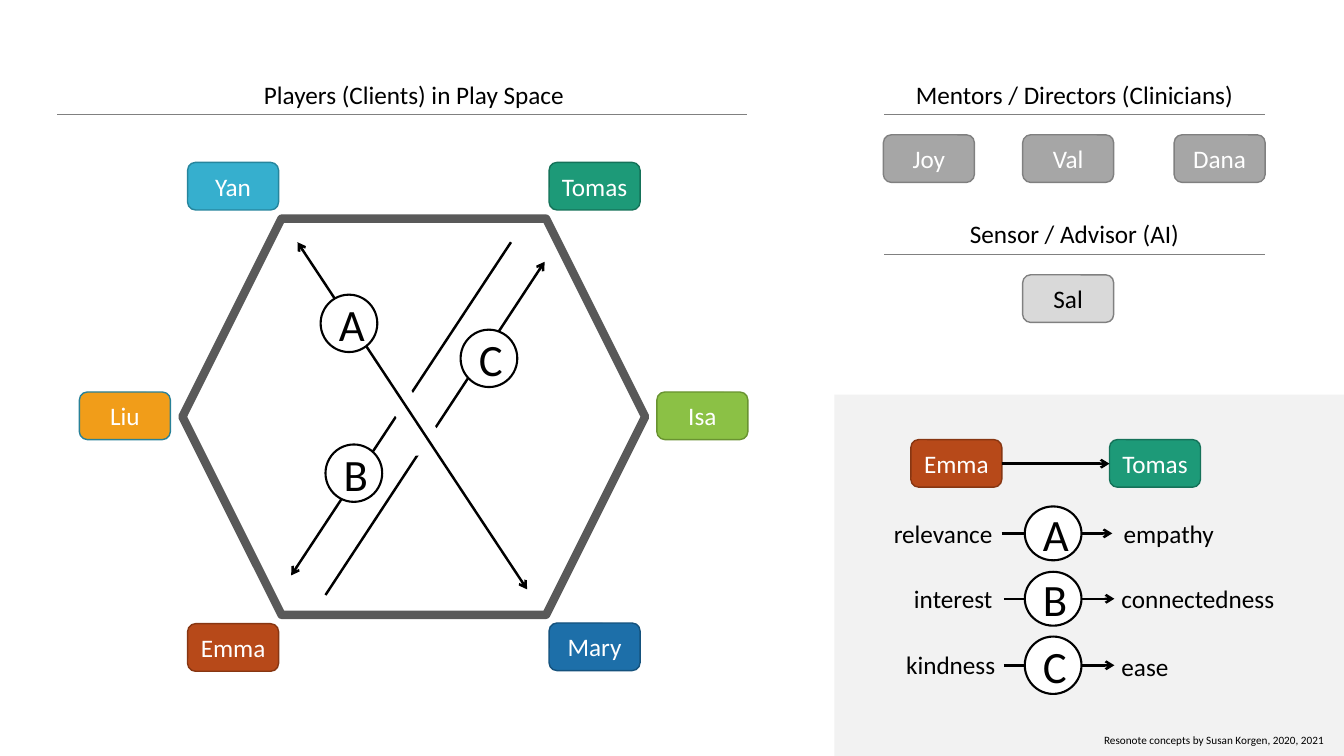
from pptx import Presentation
from pptx.dml.color import RGBColor
from pptx.enum import shapes, text
from pptx.oxml import parse_xml
from pptx.oxml.ns import nsdecls
from pptx.util import Pt

SHAPE, ALIGN = shapes.MSO_SHAPE, text.PP_ALIGN
TAG_W, TAG_H = 65, 34

prs = Presentation()
prs.slide_width, prs.slide_height = Pt(960), Pt(540)
s = prs.slides.add_slide(prs.slide_layouts[6])


def add_box(x, y, w, h, label="", kind=None, fill=None, line=None, width=1,
            size=18, color="000000", align=ALIGN.CENTER,
            anchor=text.MSO_ANCHOR.MIDDLE, rotation=0):
    """Add a preset shape, or a text box when no kind is given."""
    place = Pt(x), Pt(y), Pt(w), Pt(h)
    if kind is None:
        sp = s.shapes.add_textbox(*place)
    else:
        sp = s.shapes.add_shape(kind, *place)
        sp.shadow.inherit = False
        sp.rotation = rotation
        for part, value in ((sp.fill, fill), (sp.line.fill, line)):
            if value:
                part.solid()
                part.fore_color.rgb = RGBColor.from_string(value)
            else:
                part.background()
        if line:
            sp.line.width = Pt(width)
    if label:
        tf = sp.text_frame
        tf.word_wrap = True
        tf.vertical_anchor = anchor
        p = tf.paragraphs[0]
        p.alignment = align
        r = p.add_run()
        r.text = label
        r.font.name, r.font.size = "Calibri", Pt(size)
        r.font.color.rgb = RGBColor.from_string(color)


def add_line(x1, y1, x2, y2, color="000000", width=1.75, ends=("tailEnd",)):
    """Add a line; headEnd is an arrow at its start, tailEnd at its end."""
    c = s.shapes.add_connector(shapes.MSO_CONNECTOR.STRAIGHT,
                               Pt(x1), Pt(y1), Pt(x2), Pt(y2))
    c.line.width = Pt(width)
    c.line.color.rgb = RGBColor.from_string(color)
    for end in ends:
        c.line._get_or_add_ln().append(
            parse_xml(f'<a:{end} {nsdecls("a")} type="arrow"/>'))
    c._element.spPr.append(parse_xml(f'<a:effectLst {nsdecls("a")}/>'))


disc = dict(kind=SHAPE.OVAL, fill="FFFFFF", line="000000", width=1.5, size=32)
patch = dict(kind=SHAPE.RECTANGLE, fill="FFFFFF")
emma = dict(label="Emma", fill="B74919", line="873612")
tomas = dict(label="Tomas", fill="1D9A78", line="157259")

# Legend panel and play space
add_box(596, 282, 364, 258, kind=SHAPE.RECTANGLE, fill="F2F2F2")
add_box(130.3, 156.2, 330.5, 283, kind=SHAPE.HEXAGON, line="595959", width=6)

# Paths B and C pass under path A, with a gap at the crossing
add_line(365, 173, 208, 411)
add_line(232.5, 425, 389, 187)
add_box(232.5, 317.5, 40.5, 41, "B", **disc)
add_box(329, 235.5, 40.5, 41, "C", **disc)
add_box(295, 306, 22.5, 19.5, **patch)
add_box(288, 273, 19.5, 59, rotation=326.2, **patch)
add_line(212.5, 173, 376.5, 421, ends=("headEnd", "tailEnd"))
add_box(229, 210.5, 40.5, 41, "A", **disc)

# Name tags: players, clinicians, advisor, legend
GREY = dict(fill="A6A6A6", line="808080")
for x, y, tag in (
        (469.2, 280, dict(label="Isa", fill="8BC145", line="699331")),
        (392.2, 116, tomas),
        (134, 116, dict(label="Yan", fill="36AFCE", line="26859D")),
        (392.2, 445, dict(label="Mary", fill="1D6FA9", line="15527D")),
        (56.7, 280, dict(label="Liu", fill="F19D19", line="288198")),
        (134, 445.5, emma),
        (631, 96.3, dict(label="Joy", **GREY)),
        (730.5, 96.3, dict(label="Val", **GREY)),
        (838.7, 96.3, dict(label="Dana", **GREY)),
        (730.5, 196.3, dict(label="Sal", fill="D9D9D9", line="808080",
                            color="000000")),
        (792.5, 314, tomas),
        (650.6, 314, emma)):
    add_box(x, y, TAG_W, TAG_H, kind=SHAPE.ROUNDED_RECTANGLE,
            **{"color": "FFFFFF", **tag})

# Section headings, each over a thin rule
for heading, x, w, rule_x, rule_w, rule_y in (
        ("Players (Clients) in Play Space", 48, 495.5, 41, 492.5, 82),
        ("Mentors / Directors (Clinicians)", 631.5, 272, 631.5, 272, 82),
        ("Sensor / Advisor (AI)", 631.5, 272, 631.5, 272, 181.5)):
    add_box(x, rule_y - 29, w, 29, heading, anchor=text.MSO_ANCHOR.TOP)
    add_line(rule_x, rule_y, rule_x + rule_w, rule_y, "808080", 0.5, ends=())

# Legend: what Emma gives and Tomas receives on each path
add_line(715.5, 331.2, 792.5, 331.2)
for letter, given, gained, y, disc_h, line_x, right, gained_x, drop in (
        ("A", "relevance", "empathy", 381, 38.5, 715.5, 629.5, 795.5, 0),
        ("B", "interest", "connectedness", 427.7, 38.5, 717, 629.5, 794, 0),
        ("C", "kindness", "ease", 475.2, 41, 717, 631.5, 794, 1.3)):
    add_line(line_x, y, line_x + 79, y)
    add_box(732, y - disc_h / 2, 40.5, disc_h, letter, **disc)
    add_box(right, y - 14.5 - drop / 2, 86.5, 29, given, align=ALIGN.RIGHT,
            anchor=text.MSO_ANCHOR.TOP)
    add_box(gained_x, y - 14.5 + drop / 2, 133, 29, gained, align=ALIGN.LEFT,
            anchor=text.MSO_ANCHOR.TOP)

# Credit line
add_box(629, 517.7, 324, 22, "Resonote concepts by Susan Korgen, 2020, 2021",
        size=8, align=ALIGN.RIGHT)

prs.save("out.pptx")
